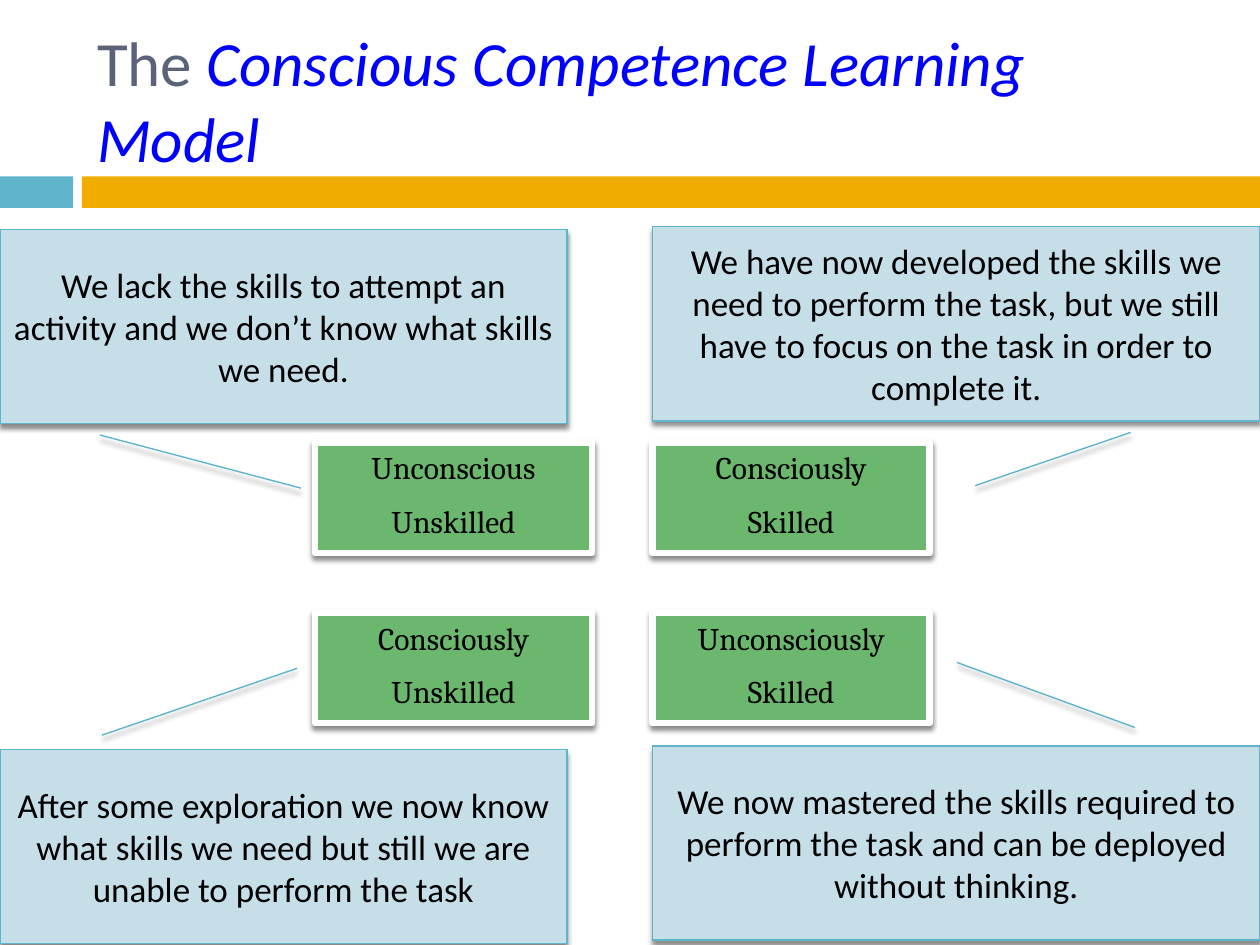
from lxml.etree import SubElement
from pptx import Presentation
from pptx.dml.color import RGBColor
from pptx.enum.shapes import MSO_SHAPE
from pptx.enum.text import MSO_ANCHOR, MSO_AUTO_SIZE, PP_ALIGN
from pptx.oxml.ns import qn
from pptx.util import Inches, Pt

COLORS = {
    "slate": "5A6378", "blue": "0000FF", "teal": "60B5CC", "amber": "F0AD00",
    "green": "6BB76D", "pale": "C5DEE7", "white": "FFFFFF", "black": "000000",
}


def add_block(kind, left, top, width, height, fill, line=None, line_width=0):
    """Add a filled shape; an outlined one also gets a soft drop shadow."""
    block = slide.shapes.add_shape(
        kind, Inches(left), Inches(top), Inches(width), Inches(height))
    block.shadow.inherit = False
    block.fill.solid()
    block.fill.fore_color.rgb = RGBColor.from_string(COLORS[fill])
    if line is None:
        block.line.fill.background()
        return block
    block.line.color.rgb = RGBColor.from_string(COLORS[line])
    block.line.width = Pt(line_width)
    effects = block.element.spPr.find(qn("a:effectLst"))
    shadow = SubElement(effects, qn("a:outerShdw"), blurRad=str(Pt(3)),
                        dist=str(Pt(2.4)), dir="5400000", rotWithShape="0")
    shade = SubElement(shadow, qn("a:srgbClr"), val=COLORS["black"])
    SubElement(shade, qn("a:alpha"), val="45000")
    return block


def write(paragraph, text, color, **font_format):
    run = paragraph.add_run()
    run.text = text
    run.font.color.rgb = RGBColor.from_string(COLORS[color])
    for name, value in font_format.items():
        setattr(run.font, name, value)


presentation = Presentation()
presentation.slide_width, presentation.slide_height = Inches(10), Inches(7.5)
slide = presentation.slides.add_slide(presentation.slide_layouts[5])

# Header band and title
for left, width, color in ((0, 0.58, "teal"), (0.65, 9.35, "amber")):
    add_block(MSO_SHAPE.RECTANGLE, left, 1.4, width, 0.25, color)

title = slide.shapes.title
title_box = {"left": 0.67, "top": 0.25, "width": 8.92, "height": 1.08}
for name, value in title_box.items():
    setattr(title, name, Inches(value))
title_format = {"word_wrap": True, "auto_size": MSO_AUTO_SIZE.NONE,
                "vertical_anchor": MSO_ANCHOR.MIDDLE}
for name, value in title_format.items():
    setattr(title.text_frame, name, value)
heading = title.text_frame.paragraphs[0]
heading.alignment = PP_ALIGN.LEFT
write(heading, "The ", "slate", name="Calibri", size=Pt(36))
write(heading, "Conscious Competence Learning Model", "blue",
      name="Calibri", size=Pt(36), italic=True)

# Two by two grid of stages
STAGE_LEFTS, STAGE_TOPS = (2.5, 5.18), (3.51, 4.86)
STAGES = (
    (0, 0, ("Unconscious", "Unskilled")),
    (0, 1, ("Consciously", "Unskilled")),
    (1, 0, ("Consciously", "Skilled")),
    (1, 1, ("Unconsciously", "Skilled")),
)
for column, row, words in STAGES:
    stage = add_block(MSO_SHAPE.RECTANGLE, STAGE_LEFTS[column], STAGE_TOPS[row],
                      2.2, 0.88, "green", "white", 3.75)
    frame = stage.text_frame
    frame.word_wrap = True
    frame.auto_size = MSO_AUTO_SIZE.SHAPE_TO_FIT_TEXT
    frame.vertical_anchor = MSO_ANCHOR.TOP
    for index, word in enumerate(words):
        paragraph = frame.add_paragraph() if index else frame.paragraphs[0]
        paragraph.alignment = PP_ALIGN.CENTER
        paragraph.space_before = Pt(9)
        write(paragraph, word, "black", name="Cambria", size=Pt(18))

# Callouts in the corners: pointer is start y, start x, end y, end x
CALLOUT_COLUMNS = ((0, 4.5), (5.18, 4.82))
CALLOUTS = (
    (0, 1.82, (1.06, 0.176, 1.334, 0.531),
     "We lack the skills to attempt an activity and we don’t know what skills "
     "we need."),
    (1, 1.8, (1.06, 0.787, 1.334, 0.531),
     "We have now developed the skills we need to perform the task, but we "
     "still have to focus on the task in order to complete it."),
    (0, 5.95, (-0.075, 0.18, -0.419, 0.524),
     "After some exploration we now know what skills we need but still we are "
     "unable to perform the task"),
    (1, 5.92, (-0.095, 0.794, -0.43, 0.501),
     "We now mastered the skills required to perform the task and can be "
     "deployed without thinking."),
)
for column, top, pointer, explanation in CALLOUTS:
    left, width = CALLOUT_COLUMNS[column]
    callout = add_block(MSO_SHAPE.LINE_CALLOUT_1, left, top, width, 1.54,
                        "pale", "teal", 0.79)
    for index, share in enumerate(pointer):
        callout.adjustments[index] = share
    callout.text_frame.word_wrap = True
    callout.text_frame.vertical_anchor = MSO_ANCHOR.MIDDLE
    paragraph = callout.text_frame.paragraphs[0]
    paragraph.alignment = PP_ALIGN.CENTER
    write(paragraph, explanation, "black", name="Calibri", size=Pt(20))

presentation.save("out.pptx")
